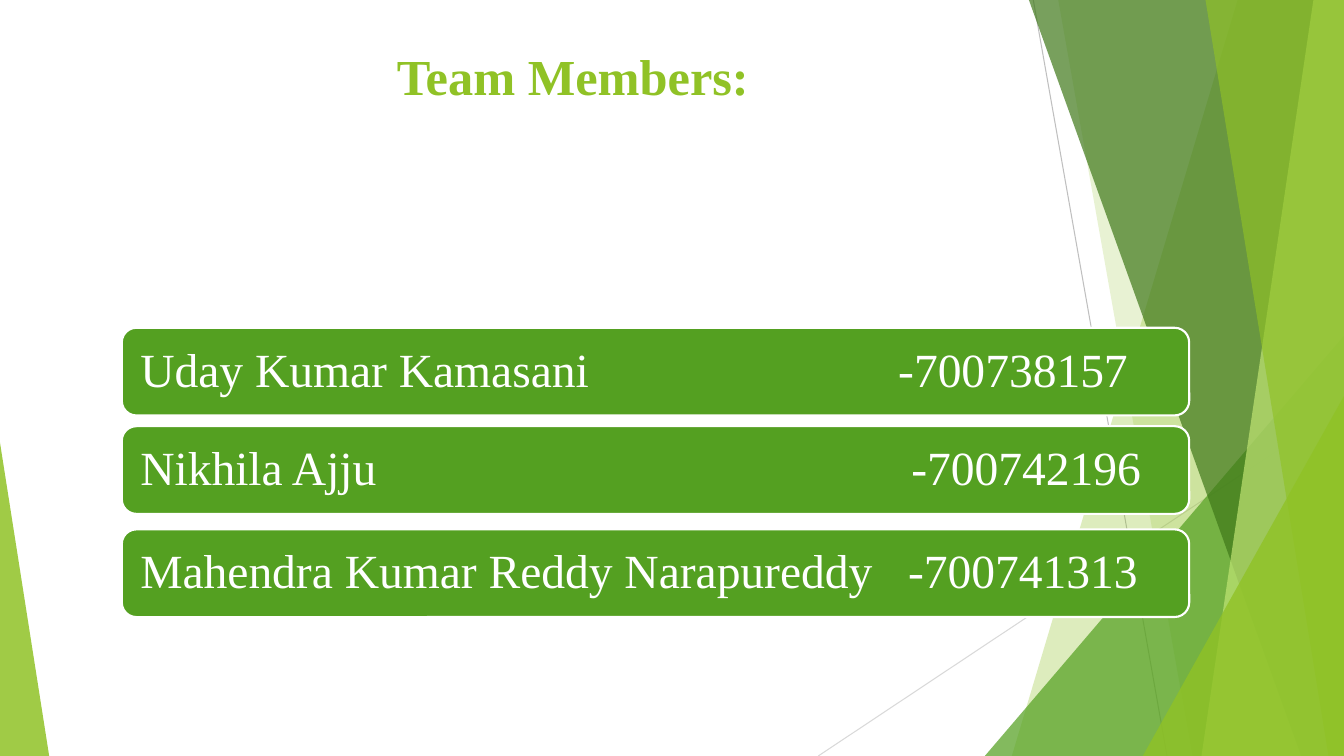
from lxml import etree
from pptx import Presentation
from pptx import util as u
from pptx.dml.color import RGBColor
from pptx.enum import shapes, text
from pptx.oxml.ns import qn

W, H = 33.87, 19.05
FONT = "Times New Roman"
LIME, GREEN, WHITE = "90C226", "54A021", "FFFFFF"

# name, number, top of bar, tab position of the number (cm)
MEMBERS = [
    ("Uday Kumar Kamasani", "-700738157", 8.26, 19.1),
    ("Nikhila Ajju", "-700742196", 10.74, 19.43),
    ("Mahendra Kumar Reddy Narapureddy", "-700741313", 13.34, 19.35),
]


def color(fmt, hex_color, alpha=100):
    """Set a solid colour on a fill or font colour, with opacity in percent."""
    if hasattr(fmt, "solid"):
        fmt.solid()
        fmt = fmt.fore_color
    fmt.rgb = RGBColor.from_string(hex_color)
    if alpha < 100:
        clr = fmt._xFill.find(qn("a:srgbClr"))
        etree.SubElement(clr, qn("a:alpha"), val=str(alpha * 1000))


def style_facet(sp, hex_color, alpha):
    color(sp.fill, hex_color, alpha)
    sp.line.fill.background()
    sp.shadow.inherit = False


def add_ray(s, x1, y1, x2, y2, hex_color):
    ln = s.shapes.add_connector(shapes.MSO_CONNECTOR.STRAIGHT,
                                u.Cm(x1), u.Cm(y1), u.Cm(x2), u.Cm(y2))
    color(ln.line.fill, hex_color)
    ln.line.width = u.Pt(0.75)
    etree.SubElement(ln._element.spPr, qn("a:effectLst"))


def add_band(s, top_x, bottom_x, hex_color, alpha):
    """Full-height band from a slanted left edge to the right slide edge."""
    fb = s.shapes.build_freeform(u.Cm(top_x), 0)
    fb.add_line_segments([(u.Cm(W), 0), (u.Cm(W), u.Cm(H)),
                          (u.Cm(bottom_x), u.Cm(H))])
    style_facet(fb.convert_to_shape(), hex_color, alpha)


def add_corner(s, x, y, w, apex, hex_color, alpha):
    """Triangle standing on the bottom edge of the slide."""
    sp = s.shapes.add_shape(shapes.MSO_SHAPE.ISOSCELES_TRIANGLE,
                            u.Cm(x), u.Cm(y), u.Cm(w), u.Cm(H - y))
    sp.adjustments[0] = apex
    style_facet(sp, hex_color, alpha)


def set_font(p, size, hex_color, bold=False):
    p.font.name = FONT
    p.font.size = u.Pt(size)
    p.font.bold = bold
    color(p.font.color, hex_color)


def add_title(s, title):
    tf = s.shapes.add_textbox(u.Cm(9.75), u.Cm(1.02),
                              u.Cm(19.89), u.Cm(3.68)).text_frame
    tf.word_wrap = True
    p = tf.paragraphs[0]
    p.text = title
    set_font(p, 36, LIME, bold=True)


def add_member(s, name, number, top, tab):
    sp = s.shapes.add_shape(shapes.MSO_SHAPE.ROUNDED_RECTANGLE,
                            u.Cm(3.07), u.Cm(top), u.Cm(26.9), u.Cm(2.21))
    sp.shadow.inherit = False
    color(sp.fill, GREEN)
    color(sp.line.fill, WHITE)
    sp.line.width = u.Pt(1.5)
    tf = sp.text_frame
    tf.word_wrap = True
    tf.vertical_anchor = text.MSO_ANCHOR.MIDDLE
    tf.margin_left = tf.margin_right = u.Cm(0.36)
    tf.margin_top = tf.margin_bottom = u.Cm(0.36)
    p = tf.paragraphs[0]
    p.text = f"{name}\t{number}"
    p.alignment = text.PP_ALIGN.LEFT
    p.line_spacing = 0.9
    set_font(p, 34, WHITE)
    # Tab stop for the number, placed before the default run properties
    tabs = etree.Element(qn("a:tabLst"))
    etree.SubElement(tabs, qn("a:tab"), pos=str(u.Cm(tab)), algn="l")
    p._p.pPr.find(qn("a:defRPr")).addprevious(tabs)


def add_backdrop(s):
    add_ray(s, 26.04, 0, 29.41, H, "BFBFBF")
    add_ray(s, W, 10.24, 20.62, H, "D9D9D9")
    add_band(s, 31.19, 25.5, LIME, 30)
    add_band(s, 26.67, 30.05, LIME, 20)
    add_corner(s, 24.82, 8.46, 9.05, 1, GREEN, 72)
    add_band(s, 25.93, 32.79, "3F7819", 70)
    add_band(s, 33.1, 30.28, "C0E474", 70)
    add_band(s, 30.38, 33.48, LIME, 65)
    add_corner(s, 28.8, 9.98, 5.07, 1, LIME, 80)
    add_corner(s, 0, 11.15, 1.24, 0, LIME, 85)


def main():
    prs = Presentation()
    prs.slide_width, prs.slide_height = u.Cm(W), u.Cm(H)
    s = prs.slides.add_slide(prs.slide_layouts[6])
    color(s.background.fill, WHITE)
    add_backdrop(s)
    add_title(s, "Team Members:")
    for member in MEMBERS:
        add_member(s, *member)
    prs.save("out.pptx")


if __name__ == "__main__":
    main()
